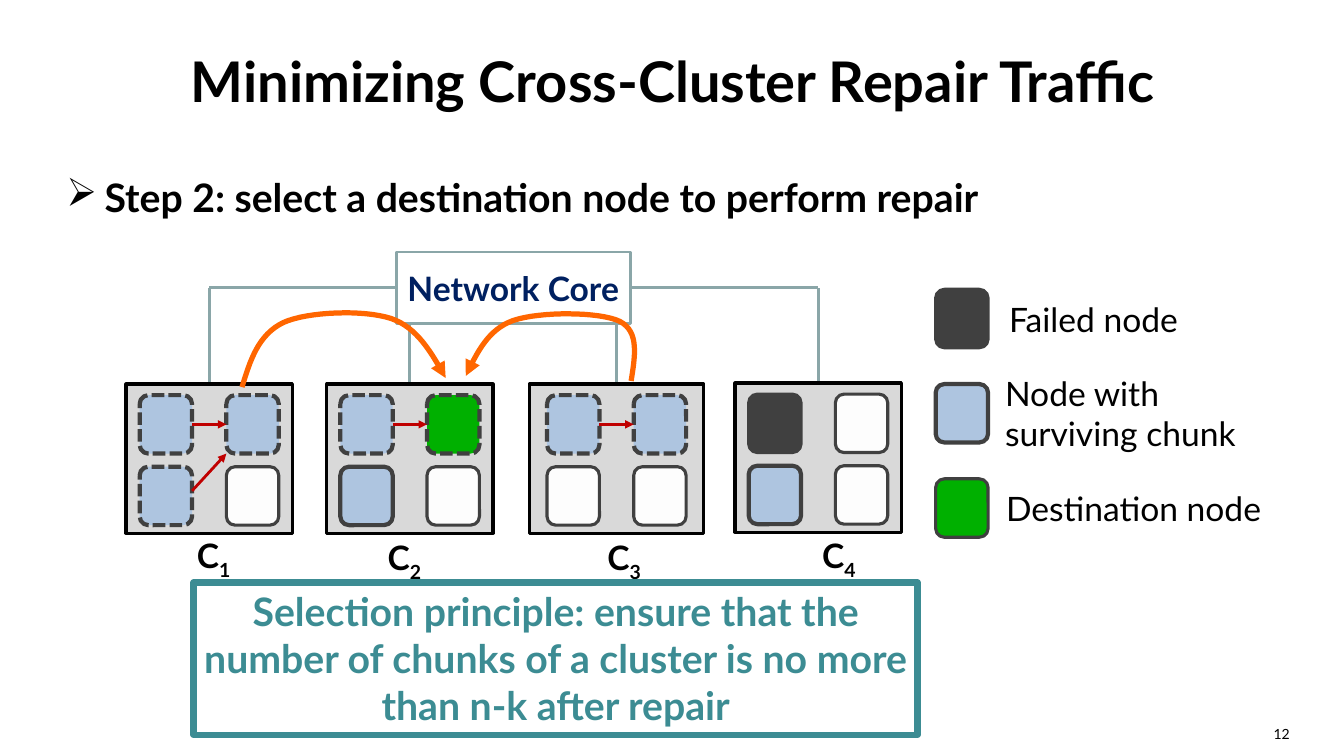
from pptx import Presentation
from pptx import util as u
from pptx.dml.color import RGBColor
from pptx.enum import dml, shapes, text
from pptx.oxml import parse_xml
from pptx.oxml.ns import nsdecls, qn
from lxml import etree

THEME = {
    "font": "Lato",
    "black": "000000", "navy": "002060", "teal": "3C8C93", "link": "8AA6A8",
    "cluster": "D9D9D9", "edge": "404040", "local": "C00000", "cross": "FF6600",
    "title": 40, "body": 28, "label": 24, "number": 10,
}
KINDS = {
    "failed": ("404040", 2.25, False),
    "chunk": ("AEC5E0", 3, False),
    "source": ("AEC5E0", 3, True),
    "target": ("00B000", 3, True),
    "destination": ("00B000", 2.25, False),
    "empty": ("FDFDFD", 2.25, False),
}

TITLE = "Minimizing Cross-Cluster Repair Traffic"
STEP = "Step 2: select a destination node to perform repair"
PRINCIPLE = ("Selection principle: ensure that the number of chunks "
             "of a cluster is no more than n-k after repair")
CLUSTERS = [
    {"left": 1.25, "top": 3.81, "width": 1.65, "label": (2.12, 5.26),
     "nodes": [["source", "source"], ["source", "empty"]]},
    {"left": 3.24, "top": 3.81, "width": 1.65, "label": (4.01, 5.28),
     "nodes": [["source", "target"], ["chunk", "empty"]]},
    {"left": 5.25, "top": 3.81, "width": 1.73, "label": (6.19, 5.28),
     "nodes": [["source", "source"], ["empty", "empty"]]},
    {"left": 7.29, "top": 3.8, "width": 1.65, "label": (8.32, 5.26),
     "nodes": [["failed", "empty"], ["chunk", "empty"]]},
]
LEGEND = [("failed", "Failed node", 9.91),
          ("chunk", "Node with\nsurviving chunk", 9.87),
          ("destination", "Destination node", 9.88)]
CROSS_FLOWS = [
    [(6.26, 3.78), (6.3, 3.53), (6.34, 3.29), (6.15, 3.19), (5.95, 3.09),
     (5.35, 3.09), (5.09, 3.18), (4.84, 3.27), (4.73, 3.5), (4.62, 3.73)],
    [(2.4, 3.84), (2.48, 3.58), (2.56, 3.32), (2.81, 3.2), (3.05, 3.09),
     (3.61, 3.07), (3.88, 3.16), (4.14, 3.25), (4.28, 3.5), (4.42, 3.75)],
]
NODE_W, NODE_H = 0.52, 0.58
COLUMN_STEP, ROW_STEP, ROW_INSET = 0.86, 0.71, 0.11
CLUSTER_H = 1.48
CORE = (3.93, 2.5, 2.32, 0.71)
LEGEND_LEFT, LEGEND_TOP, LEGEND_STEP = 9.28, 2.87, 0.94

deck = Presentation()
deck.slide_width, deck.slide_height = u.Inches(13.33), u.Inches(7.5)
page = deck.slides.add_slide(deck.slide_layouts[6])


def color(name):
    return RGBColor.from_string(THEME.get(name, name))


def write(box, content, size, ink="black", bold=False, align="LEFT",
          anchor="TOP", wrap=True):
    frame = box.text_frame
    frame.text = content
    frame.word_wrap = wrap
    frame.vertical_anchor = text.MSO_ANCHOR[anchor]
    for para in frame.paragraphs:
        para.alignment = text.PP_ALIGN[align]
        for span in para.runs:
            font = span.font
            font.name, font.size, font.bold = THEME["font"], u.Pt(THEME[size]), bold
            font.color.rgb = color(ink)
    return frame


def add_text(area, *args, **style):
    return write(page.shapes.add_textbox(*map(u.Inches, area)), *args, **style)


def stroke(item, ink, weight, arrow=False):
    item.line.color.rgb = color(ink)
    item.line.width = u.Pt(weight)
    if arrow:
        etree.SubElement(item.line._get_or_add_ln(), qn("a:tailEnd"), type="triangle")


def add_box(area, fill, ink, weight, preset="RECTANGLE"):
    box = page.shapes.add_shape(shapes.MSO_SHAPE[preset], *map(u.Inches, area))
    box.shadow.inherit = False
    if fill:
        box.fill.solid()
        box.fill.fore_color.rgb = color(fill)
    else:
        box.fill.background()
    stroke(box, ink, weight)
    return box


def add_node(left, top, kind):
    fill, weight, dashed = KINDS[kind]
    node = add_box((left, top, NODE_W, NODE_H), fill, "edge", weight, "ROUNDED_RECTANGLE")
    if dashed:
        node.line.dash_style = dml.MSO_LINE.SQUARE_DOT


def add_line(start, end, ink, weight, arrow=False):
    line = page.shapes.add_connector(
        shapes.MSO_CONNECTOR.STRAIGHT, *map(u.Inches, (*start, *end)))
    stroke(line, ink, weight, arrow)
    etree.SubElement(line._element.spPr, qn("a:effectLst"))


def add_curve(knots, steps=16):
    points = [knots[0]]
    for first in range(0, len(knots) - 1, 3):
        a, b, c, d = knots[first:first + 4]
        for step in range(1, steps + 1):
            t = step / steps
            weights = ((1 - t) ** 3, 3 * t * (1 - t) ** 2, 3 * t * t * (1 - t), t ** 3)
            points.append(tuple(sum(w * p[axis] for w, p in zip(weights, (a, b, c, d)))
                                for axis in (0, 1)))
    points = [(u.Inches(x), u.Inches(y)) for x, y in points]
    builder = page.shapes.build_freeform(*points[0], scale=1.0)
    builder.add_line_segments(points[1:], close=False)
    curve = builder.convert_to_shape()
    curve.shadow.inherit = False
    curve.fill.background()
    stroke(curve, "cross", 3.75, arrow=True)


add_text((0.67, 0.17, 12, 1.25), TITLE, "title", bold=True, align="CENTER", anchor="MIDDLE")
step_para = add_text((0.56, 1.67, 12, 0.6), STEP, "body", bold=True).paragraphs[0]
properties = step_para._p.get_or_add_pPr()
properties.set("marL", str(u.Inches(0.38)))
properties.set("indent", str(-u.Inches(0.38)))
properties.append(parse_xml(f'<a:buChar {nsdecls("a")} char="\u27a2"/>'))
add_text((9.78, 7.15, 3.11, 0.35), "12", "number", align="RIGHT")

core_left, core_top, core_width, core_height = CORE
core_middle = core_top + core_height / 2
core_right, core_bottom = core_left + core_width, core_top + core_height
write(add_box(CORE, None, "link", 2), "Network Core", "label", "navy",
      bold=True, align="CENTER", anchor="MIDDLE", wrap=False)

for number, cluster in enumerate(CLUSTERS, 1):
    left, top, width = cluster["left"], cluster["top"], cluster["width"]
    center = left + width / 2
    inside = core_left < center < core_right
    if not inside:
        side = core_left if center < core_left else core_right
        add_line((center, core_middle), (side, core_middle), "link", 2.25)
    add_line((center, top), (center, core_bottom if inside else core_middle), "link", 2.25)
    add_box((left, top, width, CLUSTER_H), "cluster", "black", 2.25)
    first_column = center - (COLUMN_STEP + NODE_W) / 2
    second_column = first_column + COLUMN_STEP
    for row, kinds in enumerate(cluster["nodes"]):
        for column, kind in enumerate(kinds):
            add_node(first_column + column * COLUMN_STEP,
                     top + ROW_INSET + row * ROW_STEP, kind)
    hub_top = top + ROW_INSET
    for row, kinds in enumerate(cluster["nodes"]):
        if kinds[0] == "source":
            middle = hub_top + NODE_H / 2
            start = middle if row == 0 else middle + ROW_STEP - 0.05
            end = middle if row == 0 else hub_top + NODE_H
            add_line((first_column + NODE_W, start), (second_column, end), "local", 2, True)
    label_x, label_y = cluster["label"]
    para = add_text((label_x - 0.27, label_y, 0.54, 0.5), "C", "label",
                    bold=True, align="CENTER", wrap=False).paragraphs[0]
    span = para.add_run()
    span.text = str(number)
    span.font.name, span.font.size, span.font.bold = THEME["font"], u.Pt(THEME["label"]), True
    span.font.color.rgb = color("black")
    span._r.get_or_add_rPr().set("baseline", "-25000")

for knots in CROSS_FLOWS:
    add_curve(knots)

for row, (kind, caption, caption_left) in enumerate(LEGEND):
    top = LEGEND_TOP + row * LEGEND_STEP
    add_node(LEGEND_LEFT, top, kind)
    add_text((caption_left, top, 2.79, NODE_H), caption, "label", anchor="MIDDLE")

write(add_box((1.92, 5.78, 7.18, 1.51), None, "teal", 4.5), PRINCIPLE,
      "body", "teal", bold=True, align="CENTER")

deck.save("out.pptx")
